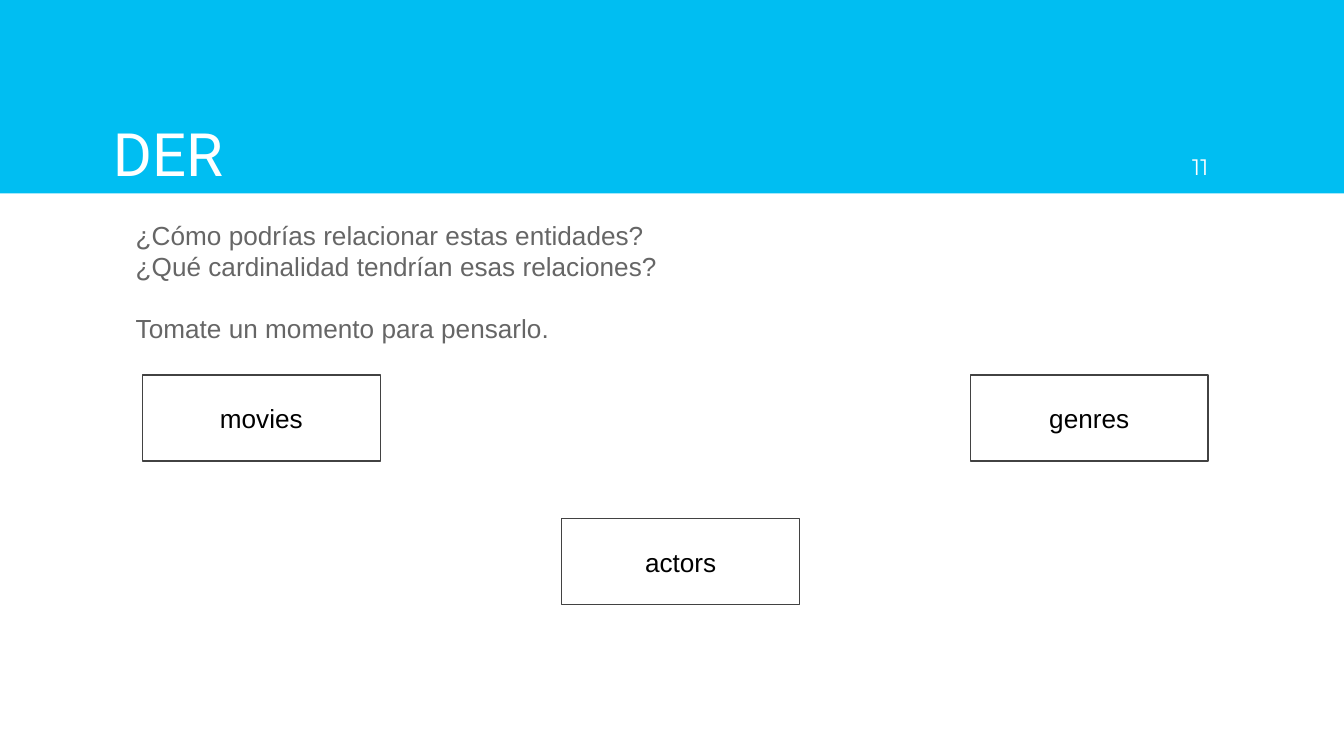
from dataclasses import dataclass

from lxml.etree import SubElement
from pptx import Presentation
from pptx.dml.color import RGBColor
from pptx.enum.shapes import MSO_SHAPE as Preset
from pptx.enum.text import MSO_ANCHOR as Anchor, MSO_AUTO_SIZE as AutoSize, PP_ALIGN as Align
from pptx.oxml.ns import qn
from pptx.shapes.autoshape import Shape
from pptx.slide import Slide
from pptx.util import Inches, Pt


@dataclass(frozen=True)
class Theme:
    band: RGBColor = RGBColor(0x00, 0xBE, 0xF2)
    white: RGBColor = RGBColor(0xFF, 0xFF, 0xFF)
    outline: RGBColor = RGBColor(0x42, 0x42, 0x42)
    black: RGBColor = RGBColor(0x00, 0x00, 0x00)
    body: RGBColor = RGBColor(0x66, 0x66, 0x66)
    title_font: str = "Roboto"
    number_font: str = "Montserrat"
    body_font: str = "Arial"
    title_size: int = 32
    body_size: int = 14
    number_size: int = 12


@dataclass(frozen=True)
class Box:
    left: float
    top: float
    width: float
    height: float

    def lengths(self) -> list[Inches]:
        return [Inches(value) for value in (self.left, self.top, self.width, self.height)]


@dataclass(frozen=True)
class Entity:
    name: str
    left: float
    top: float


THEME = Theme()
SLIDE_WIDTH = 10
SLIDE_HEIGHT = SLIDE_WIDTH * 9 / 16
ENTITY_WIDTH, ENTITY_HEIGHT = 1.77, 0.64
ENTITIES = [
    Entity("movies", 1.06, 2.79),
    Entity("actors", 4.18, 3.86),
    Entity("genres", 7.22, 2.79),
]
QUESTIONS = [
    "¿Cómo podrías relacionar estas entidades?",
    "¿Qué cardinalidad tendrían esas relaciones?",
    "Tomate un momento para pensarlo.",
]


def place(shape: Shape, box: Box) -> None:
    shape.left, shape.top, shape.width, shape.height = box.lengths()


def write(shape: Shape, text: str, font: str, size: int, color: RGBColor,
          align: Align, anchor: Anchor) -> None:
    """Fill a shape with text, one paragraph a line, in a single style."""
    frame = shape.text_frame
    frame.text = text
    frame.word_wrap = True
    frame.auto_size = AutoSize.NONE
    frame.vertical_anchor = anchor
    frame.margin_left = frame.margin_right = Inches(0.1)
    frame.margin_top = frame.margin_bottom = Inches(0.1)
    for paragraph in frame.paragraphs:
        paragraph.alignment = align
        paragraph.line_spacing = 1.0
        paragraph.space_before = paragraph.space_after = Pt(0)
        for run in paragraph.runs:
            run.font.name = font
            run.font.size = Pt(size)
            run.font.color.rgb = color


def add_rectangle(slide: Slide, box: Box, fill: RGBColor) -> Shape:
    rectangle = slide.shapes.add_shape(Preset.RECTANGLE, *box.lengths())
    rectangle.shadow.inherit = False
    rectangle.fill.solid()
    rectangle.fill.fore_color.rgb = fill
    return rectangle


def add_band(slide: Slide) -> None:
    """Draw the header band behind the placeholders."""
    band = add_rectangle(slide, Box(0, 0, SLIDE_WIDTH, 1.44), THEME.band)
    band.line.fill.background()
    slide.shapes.element.insert(2, band.element)


def add_page_number(slide: Slide, number: str) -> None:
    text_box = slide.shapes.add_textbox(*Box(8.49, 0.71, 0.6, 0.73).lengths())
    write(text_box, number, THEME.number_font, THEME.number_size, THEME.white,
          Align.RIGHT, Anchor.BOTTOM)


def add_entity(slide: Slide, entity: Entity) -> None:
    box = Box(entity.left, entity.top, ENTITY_WIDTH, ENTITY_HEIGHT)
    rectangle = add_rectangle(slide, box, THEME.white)
    rectangle.line.color.rgb = THEME.outline
    rectangle.line.width = Pt(0.75)
    write(rectangle, entity.name, THEME.body_font, THEME.body_size, THEME.black,
          Align.CENTER, Anchor.MIDDLE)


def fill_title(title: Shape) -> None:
    place(title, Box(0.74, 0.66, 8.99, 0.84))
    write(title, "DER", THEME.title_font, THEME.title_size, THEME.white,
          Align.LEFT, Anchor.BOTTOM)


def fill_questions(body: Shape) -> None:
    place(body, Box(0.91, 1.53, 8.18, 0.99))
    write(body, "\n".join(QUESTIONS), THEME.body_font, THEME.body_size, THEME.body,
          Align.LEFT, Anchor.TOP)
    paragraphs = body.text_frame.paragraphs
    paragraphs[-1].space_before = Pt(16.5)
    for paragraph in paragraphs:
        properties = paragraph._p.get_or_add_pPr()
        properties.set("marL", "0")
        properties.set("indent", "0")
        SubElement(properties, qn("a:buNone"))


def main() -> None:
    presentation = Presentation()
    presentation.slide_width = Inches(SLIDE_WIDTH)
    presentation.slide_height = Inches(SLIDE_HEIGHT)
    slide = presentation.slides.add_slide(presentation.slide_layouts[1])
    add_band(slide)
    fill_title(slide.shapes.title)
    fill_questions(slide.placeholders[1])
    add_page_number(slide, "11")
    for entity in ENTITIES:
        add_entity(slide, entity)
    presentation.save("out.pptx")


if __name__ == "__main__":
    main()
